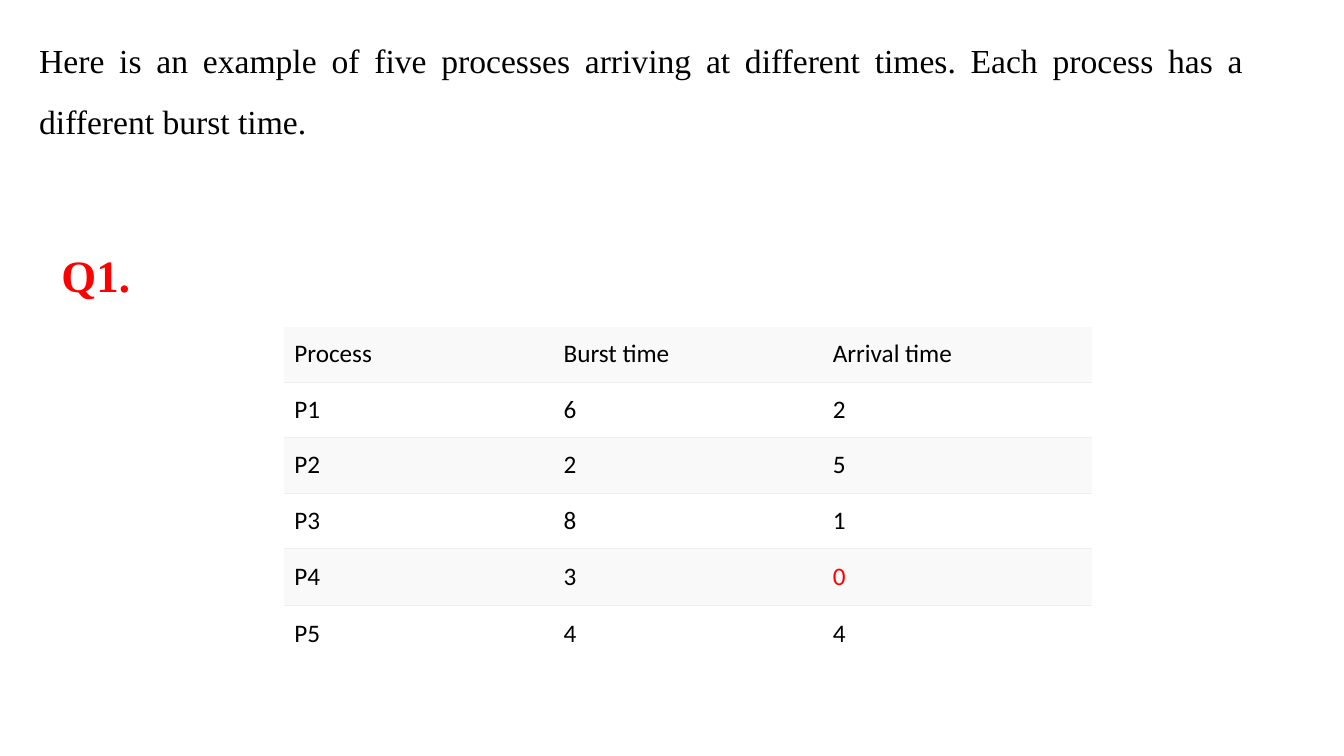
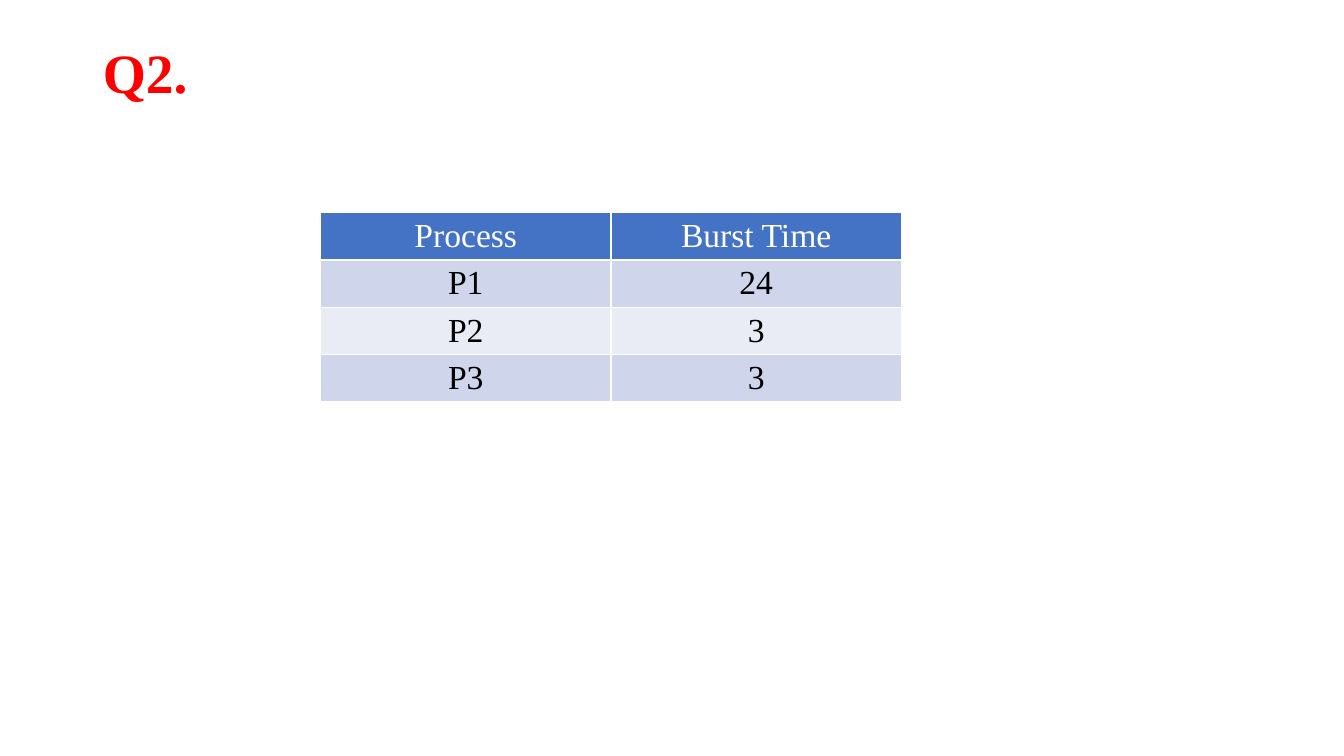
from dataclasses import dataclass

from lxml import etree
from pptx import Presentation
from pptx import util as u
from pptx.dml.color import RGBColor
from pptx.enum import text as t
from pptx.oxml.ns import qn


@dataclass(frozen=True)
class Theme:
    serif: str = "Times New Roman"
    sans: str = "Calibri"
    ink: str = "000000"
    red: str = "FF0000"
    white: str = "FFFFFF"
    pale: str = "F9F9F9"
    rule: str = "EEEEEE"
    blue: str = "4472C4"
    dark: str = "CFD5EA"
    light: str = "E9EBF5"
    body: float = 24
    small: float = 18


TH = Theme()


@dataclass(frozen=True)
class Look:
    """Format of a table: text, fills and the borders of a cell."""
    font: str
    size: float
    align: t.PP_ALIGN
    anchor: t.MSO_ANCHOR
    head: tuple  # fill and text colour
    bands: tuple
    line: tuple  # colour and width
    grid: bool   # lines on every side, or only between rows


PLAIN = Look(TH.sans, TH.small, t.PP_ALIGN.LEFT, t.MSO_ANCHOR.MIDDLE,
             (TH.pale, TH.ink), (TH.white, TH.pale), (TH.rule, 0.6), False)
BANDED = Look(TH.serif, TH.body, t.PP_ALIGN.CENTER, t.MSO_ANCHOR.TOP,
              (TH.blue, TH.white), (TH.dark, TH.light), (TH.white, 1), True)


def write(frame, words, font=TH.serif, size=TH.body, color=TH.ink,
          bold=False, align=t.PP_ALIGN.LEFT, space=1.0):
    para = frame.paragraphs[0]
    para.alignment = align
    para.line_spacing = space
    run = para.add_run()
    run.text = words
    run.font.name = font
    run.font.size = u.Pt(size)
    run.font.bold = bold
    run.font.color.rgb = RGBColor.from_string(color)


def title(slide, words, box, size, space=1.0):
    shape = slide.shapes.title
    shape.left, shape.top, shape.width, shape.height = map(u.Inches, box)
    frame = shape.text_frame
    frame.auto_size = t.MSO_AUTO_SIZE.NONE
    frame.vertical_anchor = t.MSO_ANCHOR.MIDDLE
    write(frame, words, size=size, color=TH.red, bold=True, space=space)


def note(slide, words, box, **form):
    shape = slide.shapes.add_textbox(*map(u.Inches, box))
    shape.text_frame.word_wrap = True
    write(shape.text_frame, words, **form)


def edge(cell, sides, line):
    """Draw the given sides of a cell and clear the others."""
    color, width = line
    props = cell._tc.get_or_add_tcPr()
    for side in "LRTB":
        ln = etree.SubElement(props, qn(f"a:ln{side}"))
        if side in sides:
            ln.set("w", str(u.Pt(width)))
            fill = etree.SubElement(ln, qn("a:solidFill"))
            etree.SubElement(fill, qn("a:srgbClr")).set("val", color)
        else:
            etree.SubElement(ln, qn("a:noFill"))


def table(slide, rows, left, top, width, heights, look, marked=()):
    """Add a table; marked holds the (row, column) of each red value."""
    count = len(rows[0])
    grid = slide.shapes.add_table(
        len(rows), count, u.Inches(left), u.Inches(top),
        u.Inches(width * count), u.Inches(sum(heights))).table
    grid.horz_banding = False
    for col in grid.columns:
        col.width = u.Inches(width)
    for i, (row, high) in enumerate(zip(rows, heights)):
        grid.rows[i].height = u.Inches(high)
        fill, ink = look.head if i == 0 else (look.bands[(i - 1) % 2], TH.ink)
        inner = ("T" if i else "") + ("B" if i < len(rows) - 1 else "")
        for j, words in enumerate(row):
            cell = grid.cell(i, j)
            edge(cell, "LRTB" if look.grid else inner, look.line)
            cell.fill.solid()
            cell.fill.fore_color.rgb = RGBColor.from_string(fill)
            cell.vertical_anchor = look.anchor
            write(cell.text_frame, words, font=look.font, size=look.size,
                  color=TH.red if (i, j) in marked else ink,
                  align=look.align)


def first(slide):
    table(slide, [
        ("Process", "Burst time", "Arrival time"),
        ("P1", "6", "2"),
        ("P2", "2", "5"),
        ("P3", "8", "1"),
        ("P4", "3", "0"),
        ("P5", "4", "4"),
    ], 2.82, 3.24, 2.67, [0.55] * 4 + [0.57, 0.55], PLAIN, marked={(4, 2)})
    note(slide, "Here is an example of five processes arriving at different "
         "times. Each process has a different burst time.",
         (0.29, 0.15, 12.14, 1.24), align=t.PP_ALIGN.JUSTIFY, space=1.5)
    title(slide, "Q1.", (0.51, 2.4, 1.47, 0.64), 32)


def second(slide):
    title(slide, "Q2.", (0.92, 0.4, 11.5, 0.7), 39.6, space=0.9)
    table(slide, [
        ("Process", "Burst Time"),
        ("P1", "24"),
        ("P2", "3"),
        ("P3", "3"),
    ], 3.18, 2.11, 2.88, [0.47] * 4, BANDED)


def main():
    deck = Presentation()
    deck.slide_width = u.Inches(13.33)
    deck.slide_height = u.Inches(7.5)
    layout = deck.slide_layouts.get_by_name("Title Only")
    for build in (first, second):
        build(deck.slides.add_slide(layout))
    deck.save("out.pptx")


if __name__ == "__main__":
    main()
